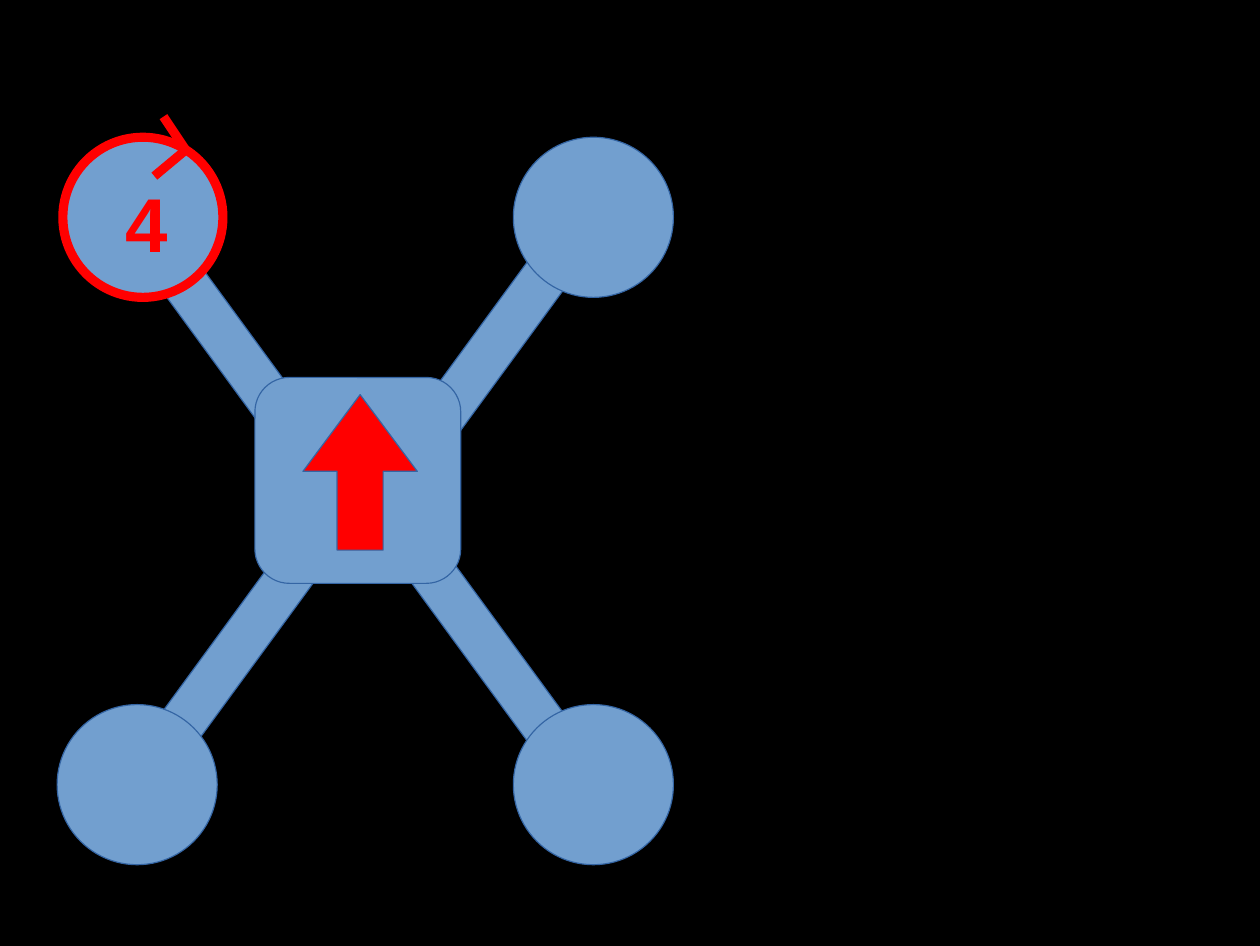
from lxml import etree
from pptx import Presentation
from pptx.dml.color import RGBColor
from pptx.enum.shapes import MSO_CONNECTOR, MSO_SHAPE
from pptx.enum.text import MSO_AUTO_SIZE, PP_ALIGN
from pptx.oxml.ns import qn
from pptx.util import Inches, Pt

COLORS = {"background": "000000", "body": "729FCF", "edge": "3465A4", "mark": "FF0000"}
ROTOR = 1.4
ARM_LENGTH, ARM_WIDTH, ARM_ANGLE = 3.3, 0.4, 53.8
MARK_WIDTH = 5.75


def rgb(name):
    return RGBColor.from_string(COLORS[name])


def add_part(shapes, kind, x, y, w, h, fill="body", line="edge", width=0, rotation=0, adj=()):
    sp = shapes.add_shape(kind, Inches(x), Inches(y), Inches(w), Inches(h))
    sp.shadow.inherit = False
    sp.rotation = rotation
    sp.fill.solid()
    sp.fill.fore_color.rgb = rgb(fill)
    sp.line.color.rgb = rgb(line)
    sp.line.width = Pt(width)
    for i, value in enumerate(adj):
        sp.adjustments[i] = value
    return sp


def add_text(shapes, text, x, y, w, h, size=48, color="mark", bold=True, font="Arial"):
    tf = shapes.add_textbox(Inches(x), Inches(y), Inches(w), Inches(h)).text_frame
    tf.word_wrap = False
    tf.auto_size = MSO_AUTO_SIZE.SHAPE_TO_FIT_TEXT
    p = tf.paragraphs[0]
    p.alignment = PP_ALIGN.LEFT
    r = p.add_run()
    r.text = text
    r.font.name = font
    r.font.size = Pt(size)
    r.font.bold = bold
    r.font.color.rgb = rgb(color)


def add_line(shapes, x1, y1, x2, y2, color="mark", width=MARK_WIDTH):
    line = shapes.add_connector(
        MSO_CONNECTOR.STRAIGHT, Inches(x1), Inches(y1), Inches(x2), Inches(y2))
    line.line.color.rgb = rgb(color)
    line.line.width = Pt(width)
    etree.SubElement(line._element.spPr, qn("a:effectLst"))


def add_arms(shapes):
    for row, y in enumerate((2.65, 5.72)):
        for col, x in enumerate((0.24, 2.8)):
            angle = ARM_ANGLE if row == col else 360 - ARM_ANGLE
            add_part(shapes, MSO_SHAPE.RECTANGLE, x, y, ARM_LENGTH, ARM_WIDTH, rotation=angle)


def add_numbered_rotor(shapes, number, x, y):
    """Group a rotor with its number and the two strokes of its turning arrow."""
    parts = shapes.add_group_shape().shapes
    add_part(parts, MSO_SHAPE.OVAL, x, y, ROTOR, ROTOR, line="mark", width=MARK_WIDTH)
    add_text(parts, number, x + 0.45, y + 0.29, 0.57, 0.84)
    add_line(parts, x + 0.88, y - 0.18, x + 1.08, y + 0.12)
    add_line(parts, x + 0.8, y + 0.34, x + 1.1, y + 0.09)


def main():
    prs = Presentation()
    prs.slide_width, prs.slide_height = Inches(11.02), Inches(8.27)
    s = prs.slides.add_slide(prs.slide_layouts[6])
    s.background.fill.solid()
    s.background.fill.fore_color.rgb = rgb("background")

    add_arms(s.shapes)
    add_part(s.shapes, MSO_SHAPE.ROUNDED_RECTANGLE, 2.23, 3.3, 1.8, 1.8, adj=(0.167,))
    add_part(s.shapes, MSO_SHAPE.UP_ARROW, 2.65, 3.45, 1, 1.36, fill="mark", adj=(0.403, 0.671))
    for x, y in ((4.49, 1.2), (0.5, 6.16), (4.49, 6.16)):
        add_part(s.shapes, MSO_SHAPE.OVAL, x, y, ROTOR, ROTOR)
    add_numbered_rotor(s.shapes, "4", 0.55, 1.2)

    prs.save("out.pptx")


if __name__ == "__main__":
    main()
